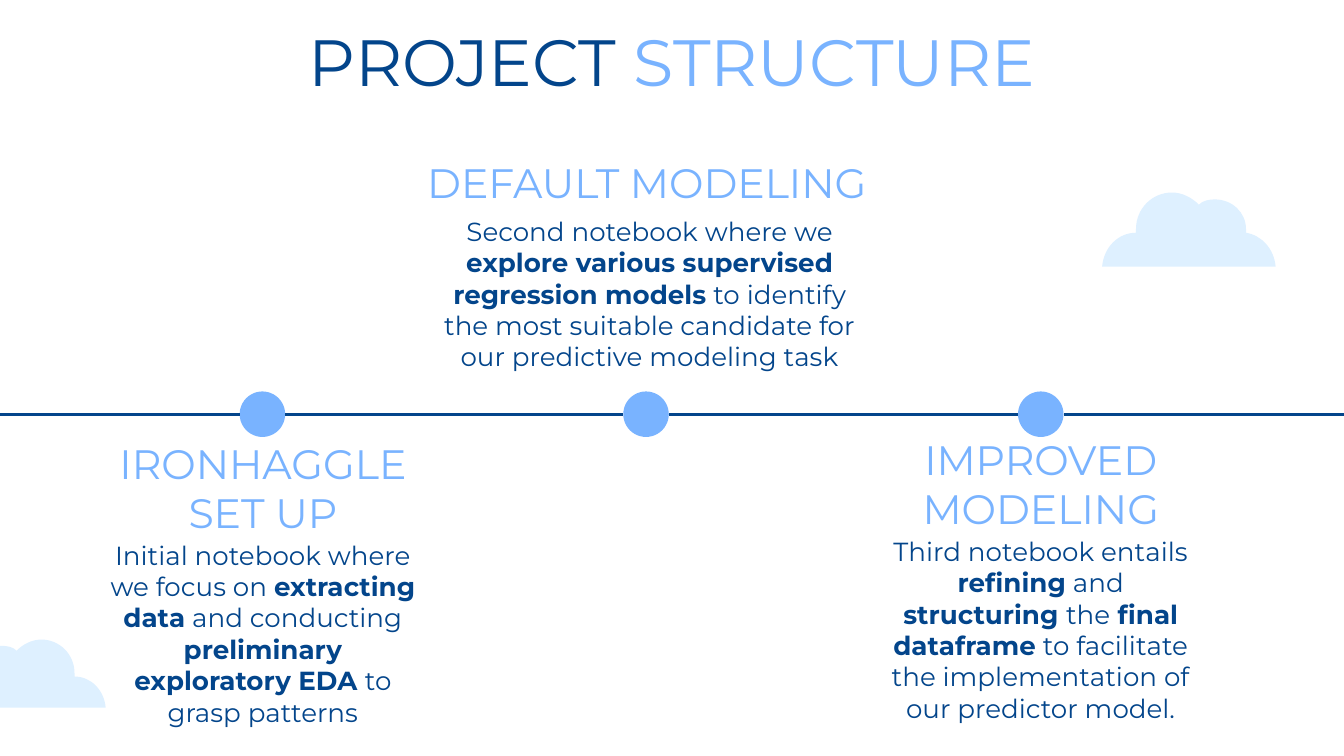
"""Build the project structure timeline slide."""
import dataclasses
import typing

import lxml.etree
import pptx
import pptx.dml.color
import pptx.enum.shapes
import pptx.enum.text
import pptx.oxml.ns
import pptx.util

Cm = pptx.util.Cm
Anchor = pptx.enum.text.MSO_ANCHOR
qn = pptx.oxml.ns.qn

COLORS = {"navy": "03458B", "sky": "79B3FF", "cloud": "DEF0FF"}
FONT = "Montserrat"
AXIS_Y = 7.83
DOT_SIZE = 0.86
AXIS_START, AXIS_END = -1.27, 28.93
CLOUD_WIDTH = 3.28
CLOUD_START = (1.32, 0)
CLOUD_SEGMENTS = [
    [(0.95, 0), (0.64, 0.3), (0.64, 0.69)],
    [(0.64, 0.71), (0.64, 0.74), (0.64, 0.76)],
    [(0.3, 0.76), (0.03, 1.04), (0, 1.4)],
    [(3.28, 1.4)],
    [(3.25, 1.07), (3.02, 0.81), (2.72, 0.76)],
    [(2.72, 0.74), (2.72, 0.71), (2.72, 0.69)],
    [(2.72, 0.38), (2.46, 0.13), (2.13, 0.13)],
    [(2.03, 0.13), (1.9, 0.15), (1.83, 0.23)],
    [(1.7, 0.1), (1.52, 0), (1.32, 0)],
]


class Span(typing.NamedTuple):
    text: str
    color: str = "navy"
    bold: bool = False


class Area(typing.NamedTuple):
    left: float
    top: float
    width: float
    height: float


@dataclasses.dataclass
class Stage:
    dot_x: float
    heading: str
    heading_area: Area
    body: str
    body_area: Area


@dataclasses.dataclass
class Cloud:
    left: float
    top: float
    scale: float = 1
    mirrored: bool = False


STAGES = [
    Stage(4.96, "IRONHAGGLE SET UP", Area(1.72, 9, 6.5, 1.4),
          "Initial notebook where we focus on **extracting data** and conducting "
          "**preliminary exploratory EDA **to grasp patterns",
          Area(1.72, 9.94, 6.5, 1.6)),
    Stage(12.21, "DEFAULT MODELING", Area(7.63, 2.75, 9.19, 1.4),
          "Second notebook where we **explore various supervised regression models** "
          "to identify the most suitable candidate for our predictive modeling task",
          Area(8.04, 3.82, 8.48, 1.6)),
    Stage(19.67, "IMPROVED MODELING", Area(16.42, 8.92, 6.5, 1.4),
          "Third notebook entails **refining** and **structuring **the** final dataframe** "
          "to facilitate the implementation of our predictor model.",
          Area(16.42, 9.87, 6.5, 1.6)),
]
LEFT_CLOUD = Cloud(-1.02, 12.09, 0.92, True)
RIGHT_CLOUD = Cloud(20.83, 3.64)


def rgb(name: str) -> pptx.dml.color.RGBColor:
    """Return the named colour."""
    return pptx.dml.color.RGBColor.from_string(COLORS[name])


def marked_spans(text: str) -> list[Span]:
    """Split text at double asterisks into plain and bold spans."""
    return [Span(part, bold=index % 2 == 1) for index, part in enumerate(text.split("**"))]


def write_text(box, spans: list[Span], *, size: float, anchor=Anchor.TOP) -> None:
    """Write one centred paragraph of formatted spans in a box."""
    frame = box.text_frame
    frame.word_wrap = True
    frame.auto_size = pptx.enum.text.MSO_AUTO_SIZE.NONE
    frame.vertical_anchor = anchor
    frame.margin_left = frame.margin_right = Cm(0.25)
    frame.margin_top = frame.margin_bottom = Cm(0.25)
    para = frame.paragraphs[0]
    para.alignment = pptx.enum.text.PP_ALIGN.CENTER
    para.line_spacing = 1.0
    para.space_before = pptx.util.Pt(0)
    for span in spans:
        run = para.add_run()
        run.text = span.text
        run.font.name = FONT
        run.font.size = pptx.util.Pt(size)
        run.font.bold = span.bold
        run.font.color.rgb = rgb(span.color)


def add_box(page, area: Area):
    """Add an empty text box."""
    return page.shapes.add_textbox(*(Cm(length) for length in area))


def paint(shape, color: str) -> None:
    """Give a shape a flat fill with no outline or shadow."""
    shape.shadow.inherit = False
    shape.fill.solid()
    shape.fill.fore_color.rgb = rgb(color)
    shape.line.fill.background()


def bend_segments(shape, segments: list) -> None:
    """Join each three knots of an outline into one cubic curve."""
    knots = iter(list(shape._element.iter(qn("a:lnTo"))))
    for segment in segments:
        first, *others = [next(knots) for _ in segment]
        if others:
            first.tag = qn("a:cubicBezTo")
            for knot in others:
                first.append(knot[0])
                knot.getparent().remove(knot)


def add_cloud(page, cloud: Cloud) -> None:
    """Draw a cloud, mirrored and scaled as asked."""
    def place(x: float, y: float) -> tuple[int, int]:
        """Map a cloud point to the page."""
        across = CLOUD_WIDTH - x if cloud.mirrored else x
        return Cm(cloud.left + cloud.scale * across), Cm(cloud.top + cloud.scale * y)

    builder = page.shapes.build_freeform(*place(*CLOUD_START))
    builder.add_line_segments([place(*knot) for segment in CLOUD_SEGMENTS for knot in segment],
                              close=False)
    shape = builder.convert_to_shape()
    bend_segments(shape, CLOUD_SEGMENTS)
    for outline in shape._element.iter(qn("a:path")):
        lxml.etree.SubElement(outline, qn("a:close"))
    paint(shape, "cloud")


def add_axis_line(page, start: float, end: float) -> None:
    """Draw one stretch of the timeline."""
    line = page.shapes.add_connector(pptx.enum.shapes.MSO_CONNECTOR.STRAIGHT,
                                     Cm(start), Cm(AXIS_Y), Cm(end), Cm(AXIS_Y))
    line.line.color.rgb = rgb("navy")
    line.line.width = pptx.util.Pt(1.5)
    lxml.etree.SubElement(line._element.spPr, qn("a:effectLst"))


def add_stage(page, stage: Stage) -> None:
    """Draw the texts and the dot of one stage."""
    write_text(add_box(page, stage.body_area), marked_spans(stage.body), size=14)
    write_text(add_box(page, stage.heading_area), [Span(stage.heading, "sky")],
               size=22, anchor=Anchor.BOTTOM)
    dot = page.shapes.add_shape(pptx.enum.shapes.MSO_SHAPE.OVAL,
                                Cm(stage.dot_x - DOT_SIZE / 2), Cm(AXIS_Y - DOT_SIZE / 2),
                                Cm(DOT_SIZE), Cm(DOT_SIZE))
    paint(dot, "sky")


def main() -> None:
    """Build and save the deck."""
    deck = pptx.Presentation()
    deck.slide_width, deck.slide_height = Cm(25.4), Cm(14.29)
    page = deck.slides.add_slide(deck.slide_layouts[5])
    title = page.shapes.title
    title.left, title.top, title.width, title.height = Cm(2), Cm(0.15), Cm(21.41), Cm(1.6)
    write_text(title, [Span("PROJECT "), Span("STRUCTURE", "sky")], size=35)
    add_cloud(page, LEFT_CLOUD)
    for stage in STAGES:
        add_stage(page, stage)
    add_cloud(page, RIGHT_CLOUD)
    starts = [AXIS_START] + [stage.dot_x + DOT_SIZE / 2 for stage in STAGES]
    ends = [stage.dot_x - DOT_SIZE / 2 for stage in STAGES] + [AXIS_END]
    for start, end in zip(starts, ends):
        add_axis_line(page, start, end)
    deck.save("out.pptx")


if __name__ == "__main__":
    main()
